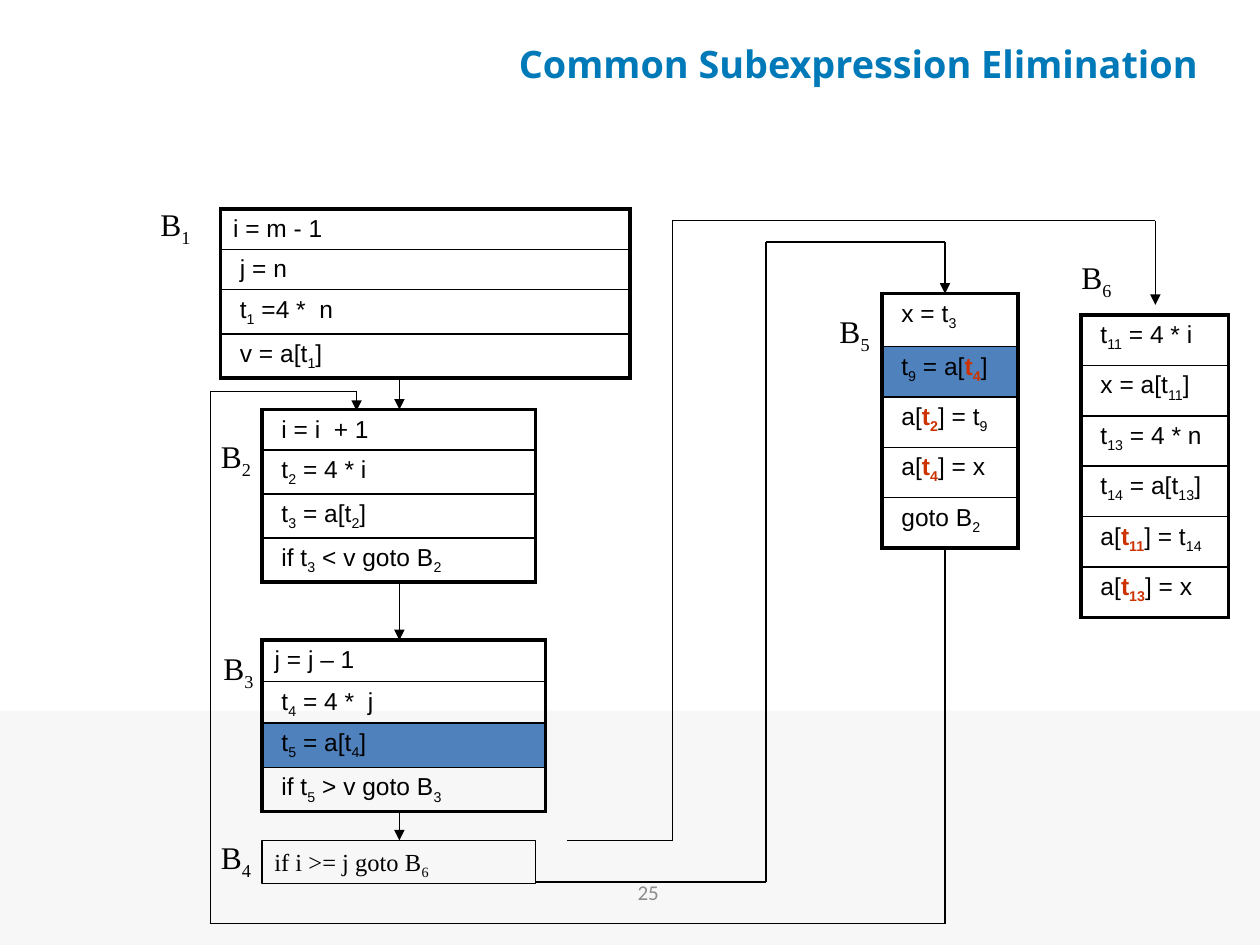
from dataclasses import dataclass
from itertools import pairwise, takewhile

from lxml import etree
from pptx import Presentation
from pptx.dml.color import RGBColor
from pptx.enum.shapes import MSO_CONNECTOR, MSO_SHAPE
from pptx.enum.text import MSO_ANCHOR, PP_ALIGN
from pptx.oxml.ns import qn
from pptx.util import Inches, Pt

RECTANGLE = MSO_SHAPE.RECTANGLE
STRAIGHT = MSO_CONNECTOR.STRAIGHT
MIDDLE, TOP = MSO_ANCHOR.MIDDLE, MSO_ANCHOR.TOP
CENTER, LEFT, RIGHT = PP_ALIGN.CENTER, PP_ALIGN.LEFT, PP_ALIGN.RIGHT


@dataclass(frozen=True)
class Theme:
    ink: str = "000000"
    title: str = "0079B8"
    band: str = "F7F7F7"
    highlight: str = "4F81BD"
    reused: str = "CC3300"
    page: str = "8C8C8C"
    title_font: str = "Open Sans"
    code_font: str = "Arial"
    label_font: str = "Times New Roman"
    page_font: str = "Calibri"
    title_size: float = 21.6
    label_size: float = 18
    code_size: float = 14
    page_size: float = 12
    thin: float = 0.75
    rule: float = 1
    frame: float = 2.25


THEME = Theme()

# In statements, "_" starts a subscript number and "!" encloses a reused value.
# Each block: left, top, width, row heights, statements
BLOCKS = [
    (1.75, 1.66, 3.25, [0.32, 0.32, 0.35, 0.35],
     ["i = m - 1", " j = n", " t_1 =4 *  n", " v = a[t_1]"]),
    (2.08, 3.25, 2.17, [0.32, 0.35, 0.35, 0.35],
     [" i = i  + 1", " t_2 = 4 * i", " t_3 = a[t_2]", " if t_3 < v goto B_2"]),
    (2.08, 5.08, 2.25, [0.33, 0.33, 0.35, 0.35],
     ["j = j – 1", " t_4 = 4 *  j", " t_5 = a[t_4]", " if t_5 > v goto B_3"]),
    (7, 2.33, 1.08, [0.42] + [0.4] * 4,
     [" x = t_3", " t_9 = a[!t_4!]", " a[!t_2!] = t_9", " a[!t_4!] = x", " goto B_2"]),
    (8.58, 2.5, 1.17, [0.4] * 6,
     [" t_11 = 4 * i", " x = a[t_11]", " t_13 = 4 * n", " t_14 = a[t_13]",
      " a[!t_11!] = t_14", " a[!t_13!] = x"]),
]

HIGHLIGHTS = [(7, 2.75, 1.08, 0.4), (2.08, 5.74, 2.25, 0.35)]

# Left and top of the labels B1 to B6
LABELS = [(0.83, 1.58), (1.31, 3.42), (1.33, 5.1), (1.31, 6.6), (6.22, 2.43), (8.14, 2)]

ROUTES = [
    [(3.17, 3), (3.17, 3.25)],
    [(3.17, 4.62), (3.17, 5.08)],
    [(3.17, 6.44), (3.17, 6.67)],
    [(4.5, 6.67), (5.34, 6.67), (5.34, 1.75), (9.17, 1.75), (9.17, 2.42)],
    [(4.25, 7), (6.08, 7), (6.08, 1.92), (7.5, 1.92), (7.5, 2.33)],
    [(7.5, 4.35), (7.5, 7.33), (1.67, 7.33), (1.67, 3.11), (2.83, 3.11), (2.83, 3.26)],
]


def color(value):
    return RGBColor.from_string(value)


def add_run(paragraph, text, reused=False, subscript=False):
    if not text:
        return
    run = paragraph.add_run()
    run.text = text
    if reused:
        run.font.bold = True
        run.font.color.rgb = color(THEME.reused)
    if subscript:
        run._r.get_or_add_rPr().set("baseline", "-25000")


def write(frame, markup, font, size, ink=THEME.ink, align=LEFT, bold=False):
    """Write one paragraph, turning the markup into subscripts and reused values."""
    paragraph = frame.paragraphs[0]
    paragraph.alignment = align
    paragraph.font.name = font
    paragraph.font.size = Pt(size)
    paragraph.font.bold = bold
    paragraph.font.color.rgb = color(ink)
    for index, part in enumerate(markup.split("!")):
        reused = index % 2 == 1
        plain, *indexed = part.split("_")
        add_run(paragraph, plain, reused)
        for piece in indexed:
            digits = "".join(takewhile(str.isdigit, piece))
            add_run(paragraph, digits, reused, subscript=True)
            add_run(paragraph, piece[len(digits):], reused)


def add_text(slide, box, markup, font, size, anchor=TOP, **style):
    frame = slide.shapes.add_textbox(*map(Inches, box)).text_frame
    frame.word_wrap = True
    frame.vertical_anchor = anchor
    write(frame, markup, font, size, **style)


def add_box(slide, box, fill=None, outlined=True):
    shape = slide.shapes.add_shape(RECTANGLE, *map(Inches, box))
    shape.shadow.inherit = False
    if fill:
        shape.fill.solid()
        shape.fill.fore_color.rgb = color(fill)
    else:
        shape.fill.background()
    if outlined:
        shape.line.color.rgb = color(THEME.ink)
        shape.line.width = Pt(THEME.thin)
    else:
        shape.line.fill.background()
    return shape


def set_borders(cell, first, last):
    """Frame the block heavily and rule its statements finely."""
    widths = {
        "a:lnL": THEME.frame,
        "a:lnR": THEME.frame,
        "a:lnT": THEME.frame if first else THEME.rule,
        "a:lnB": THEME.frame if last else THEME.rule,
    }
    properties = cell._tc.get_or_add_tcPr()
    for tag, width in widths.items():
        border = etree.SubElement(properties, qn(tag), w=str(Pt(width)))
        fill = etree.SubElement(border, qn("a:solidFill"))
        etree.SubElement(fill, qn("a:srgbClr"), val=THEME.ink)


def add_block(slide, left, top, width, heights, statements):
    box = map(Inches, (left, top, width, sum(heights)))
    table = slide.shapes.add_table(len(statements), 1, *box).table
    table.first_row = table.horz_banding = False
    last = len(statements) - 1
    for row, (height, statement) in enumerate(zip(heights, statements)):
        table.rows[row].height = Inches(height)
        cell = table.cell(row, 0)
        cell.margin_bottom = Inches(0.01)
        set_borders(cell, row == 0, row == last)
        cell.fill.background()
        write(cell.text_frame, statement, THEME.code_font, THEME.code_size)


def add_route(slide, points):
    """Join the points with straight lines and put an arrowhead at the end."""
    for start, end in pairwise(points):
        line = slide.shapes.add_connector(STRAIGHT, *map(Inches, start + end))
        line.line.color.rgb = color(THEME.ink)
        line.line.width = Pt(THEME.thin)
        etree.SubElement(line._element.spPr, qn("a:effectLst"))
    etree.SubElement(line.line._get_or_add_ln(), qn("a:tailEnd"), type="triangle")


def main():
    deck = Presentation()
    deck.slide_width, deck.slide_height = Inches(10), Inches(7.5)
    slide = deck.slides.add_slide(deck.slide_layouts[6])

    add_box(slide, (0, 5.64, 10, 1.86), THEME.band, outlined=False)
    add_text(slide, (3.56, 6.82, 3.17, 0.52), "25", THEME.page_font, THEME.page_size,
             anchor=MIDDLE, ink=THEME.page, align=CENTER)
    for box in HIGHLIGHTS:
        add_box(slide, box, THEME.highlight)
    add_text(slide, (3.83, 0.17, 5.97, 0.67), "Common Subexpression Elimination",
             THEME.title_font, THEME.title_size, anchor=MIDDLE, ink=THEME.title,
             align=CENTER, bold=True)

    for block in BLOCKS:
        add_block(slide, *block)
    branch = add_box(slide, (2.08, 6.67, 2.17, 0.34)).text_frame
    branch.word_wrap = True
    branch.vertical_anchor = TOP
    write(branch, "if i >= j goto B_6", THEME.label_font, THEME.code_size)

    for points in ROUTES:
        add_route(slide, points)
    for number, (left, top) in enumerate(LABELS, start=1):
        add_text(slide, (left, top, 0.78, 0.4), f"B_{number}",
                 THEME.label_font, THEME.label_size, align=RIGHT)
    deck.save("out.pptx")


if __name__ == "__main__":
    main()
